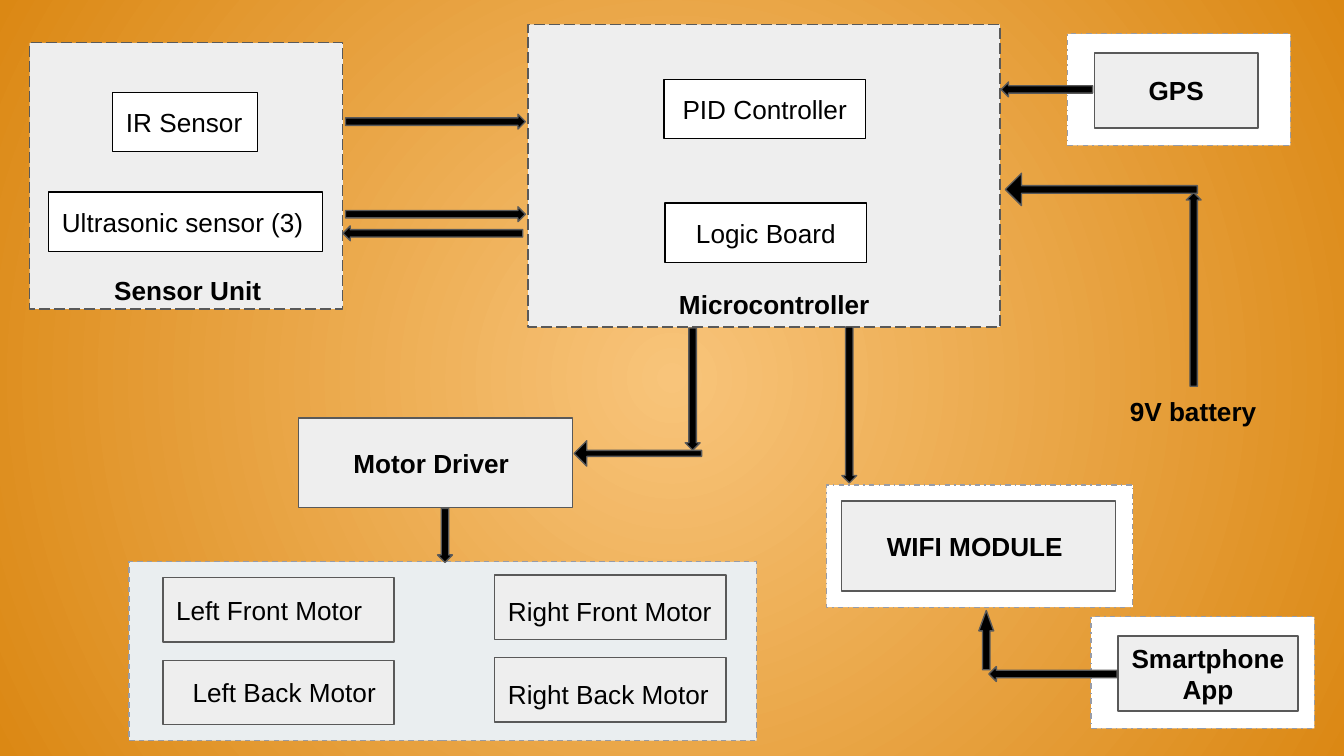
from collections import namedtuple
from dataclasses import dataclass
from math import atan2, degrees, hypot

from lxml.etree import SubElement
from pptx import Presentation
from pptx.dml.color import RGBColor
from pptx.enum.dml import MSO_LINE
from pptx.enum.shapes import MSO_SHAPE
from pptx.enum.text import MSO_ANCHOR, PP_ALIGN
from pptx.oxml.ns import qn
from pptx.util import Cm, Pt

Box = namedtuple("Box", "left top width height")


@dataclass(frozen=True)
class Theme:
    """Colours, font and sizes of the diagram."""
    glow: str = "F8C47A"
    amber: str = "DB8814"
    black: str = "000000"
    white: str = "FFFFFF"
    panel: str = "EEEEEE"
    motors: str = "EAEEF0"
    outline: str = "595959"
    soft_outline: str = "989CA7"
    font: str = "Arial"
    text_size: int = 14
    line_width: float = 0.75


THEME = Theme()
FRAME = {"fill": THEME.white, "line": THEME.soft_outline, "dash": MSO_LINE.DASH_DOT}
MOTOR_FRAME = {"fill": THEME.motors, "line": THEME.soft_outline, "dash": MSO_LINE.DASH}
UNIT = {"fill": THEME.panel, "line": THEME.outline, "dash": MSO_LINE.LONG_DASH}
MODULE = {"fill": THEME.panel, "line": THEME.outline}
PART = {"fill": THEME.white, "line": THEME.black}
ARROW = {"fill": THEME.black, "line": THEME.outline}


def apply_format(target, values):
    """Set each named attribute of the target."""
    for name, value in values.items():
        setattr(target, name, value)


def inside(box, left, top, width, height):
    """Return a box placed relative to the corner of another."""
    return Box(box.left + left, box.top + top, width, height)


def lengths(box):
    """Return the box in centimetre lengths."""
    return [Cm(value) for value in box]


def paint(shape, fill, line, dash=None):
    """Give a shape a flat fill and an outline."""
    shape.shadow.inherit = False
    shape.fill.solid()
    shape.fill.fore_color.rgb = RGBColor.from_string(fill)
    shape.line.color.rgb = RGBColor.from_string(line)
    apply_format(shape.line, {"width": Pt(THEME.line_width), "dash_style": dash})


def write(shape, text, bold=False, centred=False, indent=0.25, drop=0.25):
    """Write one label into a shape."""
    apply_format(shape.text_frame, {
        "word_wrap": True,
        "vertical_anchor": MSO_ANCHOR.MIDDLE,
        "margin_left": Cm(indent),
        "margin_right": Cm(0.25 if centred else 0),
        "margin_top": Cm(drop),
        "margin_bottom": Cm(0.25),
    })
    paragraph = shape.text_frame.paragraphs[0]
    paragraph.text = text
    paragraph.alignment = PP_ALIGN.CENTER if centred else PP_ALIGN.LEFT
    apply_format(paragraph.font, {"name": THEME.font, "size": Pt(THEME.text_size), "bold": bold})
    paragraph.font.color.rgb = RGBColor.from_string(THEME.black)


def add_block(slide, box, style, text=None, **label):
    """Add a rectangle, with a label if there is one."""
    shape = slide.shapes.add_shape(MSO_SHAPE.RECTANGLE, *lengths(box))
    paint(shape, **style)
    if text:
        write(shape, text, **label)


def add_caption(slide, box, text, centred=True):
    """Add a bold caption without a frame."""
    write(slide.shapes.add_textbox(*lengths(box)), text, bold=True, centred=centred)


def add_arrow(slide, start, end, thickness=0.28, shaft=0.5, head=0.5):
    """Add a block arrow that runs from start to end."""
    across, down = end[0] - start[0], end[1] - start[1]
    length = hypot(across, down)
    box = Box((start[0] + end[0] - length) / 2, (start[1] + end[1] - thickness) / 2,
              length, thickness)
    shape = slide.shapes.add_shape(MSO_SHAPE.RIGHT_ARROW, *lengths(box))
    shape.rotation = degrees(atan2(down, across)) % 360
    shape.adjustments[0], shape.adjustments[1] = shaft, head
    paint(shape, **ARROW)


def add_background(slide):
    """Fill the background with a glow from the centre."""
    fill = slide.background.fill
    fill.gradient()
    for stop, colour in zip(fill.gradient_stops, (THEME.glow, THEME.amber)):
        stop.color.rgb = RGBColor.from_string(colour)
    linear = next(slide.element.iter(qn("a:lin")))
    gradient = linear.getparent()
    gradient.remove(linear)
    radial = SubElement(gradient, qn("a:path"), {"path": "circle"})
    SubElement(radial, qn("a:fillToRect"), dict.fromkeys("ltrb", "50000"))


def add_sensor_unit(slide, box):
    """Place the sensors and their caption."""
    add_block(slide, box, UNIT)
    add_caption(slide, inside(box, 1.35, 4.11, 4.57, 1.12), "Sensor Unit", centred=False)
    add_block(slide, inside(box, 1.57, 0.94, 2.74, 1.12), PART, "IR Sensor")
    add_block(slide, inside(box, 0.36, 2.82, 5.18, 1.12), PART, "Ultrasonic sensor (3)")


def add_microcontroller(slide, box):
    """Place the controller parts and their caption."""
    add_block(slide, box, UNIT)
    add_caption(slide, inside(box, -0.08, 4.72, 9.47, 1.12), "Microcontroller")
    for text, left, top in (("PID Controller", 2.57, 1.04), ("Logic Board", 2.59, 3.38)):
        add_block(slide, inside(box, left, top, 3.81, 1.12), PART, text, centred=True)


def add_motors(slide, box):
    """Place the four motors in two columns."""
    add_block(slide, box, MOTOR_FRAME)
    columns = (("Left", 0.64, 0.3, (0.25, 0.56), 0.25), ("Right", 6.91, 0.25, (0.25, 0.25), 0.41))
    for side, left, top, indents, drop in columns:
        for row, (end, indent) in enumerate(zip(("Front", "Back"), indents)):
            add_block(slide, inside(box, left, top + row * 1.56, 4.37, 1.22), MODULE,
                      f"{side} {end} Motor", indent=indent, drop=drop)


def add_framed_module(slide, box, inset, width, height, text, **label):
    """Place a bold module within a white frame."""
    add_block(slide, box, FRAME)
    add_block(slide, inside(box, *inset, width, height), MODULE, text, bold=True, **label)


def add_flows(slide):
    """Place the arrows between the units."""
    flows = (
        ((6.53, 2.3), (9.93, 2.3)),
        ((6.53, 4.05), (9.93, 4.05)),
        ((9.88, 4.41), (6.48, 4.41)),
        ((20.65, 1.69), (18.92, 1.69)),
        ((22.56, 7.3), (22.56, 3.64)),
        ((22.63, 3.58), (19, 3.58), 0.61, 0.235),
        ((13.09, 6.2), (13.09, 8.51)),
        ((13.26, 8.57), (10.85, 8.57), 0.48, 0.235),
        ((16.05, 6.18), (16.05, 9.13)),
        ((8.41, 9.61), (8.41, 10.63)),
        ((21.11, 12.74), (18.69, 12.74)),
        ((18.64, 12.66), (18.64, 11.54), 0.28, 0.5, 1.37),
    )
    for flow in flows:
        add_arrow(slide, *flow)


def main():
    """Build the block diagram and save it."""
    presentation = Presentation()
    apply_format(presentation, {"slide_width": Cm(25.4), "slide_height": Cm(14.29)})
    slide = presentation.slides.add_slide(presentation.slide_layouts[6])
    add_background(slide)
    add_motors(slide, Box(2.44, 10.62, 11.86, 3.38))
    add_microcontroller(slide, Box(9.98, 0.46, 8.92, 5.72))
    add_sensor_unit(slide, Box(0.56, 0.81, 5.92, 5.03))
    add_block(slide, Box(5.64, 7.9, 5.18, 1.7), MODULE, "Motor Driver", bold=True, indent=1.04)
    add_caption(slide, Box(20.57, 7.21, 3.96, 1.12), "9V battery")
    add_framed_module(slide, Box(15.62, 9.17, 5.79, 2.31), (0.28, 0.3), 5.18, 1.7,
                      "WIFI MODULE", indent=0.86)
    add_framed_module(slide, Box(20.17, 0.64, 4.22, 2.11), (0.51, 0.36), 3.1, 1.42,
                      "GPS", centred=True)
    add_framed_module(slide, Box(20.62, 11.66, 4.22, 2.11), (0.51, 0.36), 3.4, 1.42,
                      "Smartphone App", centred=True)
    add_flows(slide)
    presentation.save("out.pptx")


if __name__ == "__main__":
    main()
